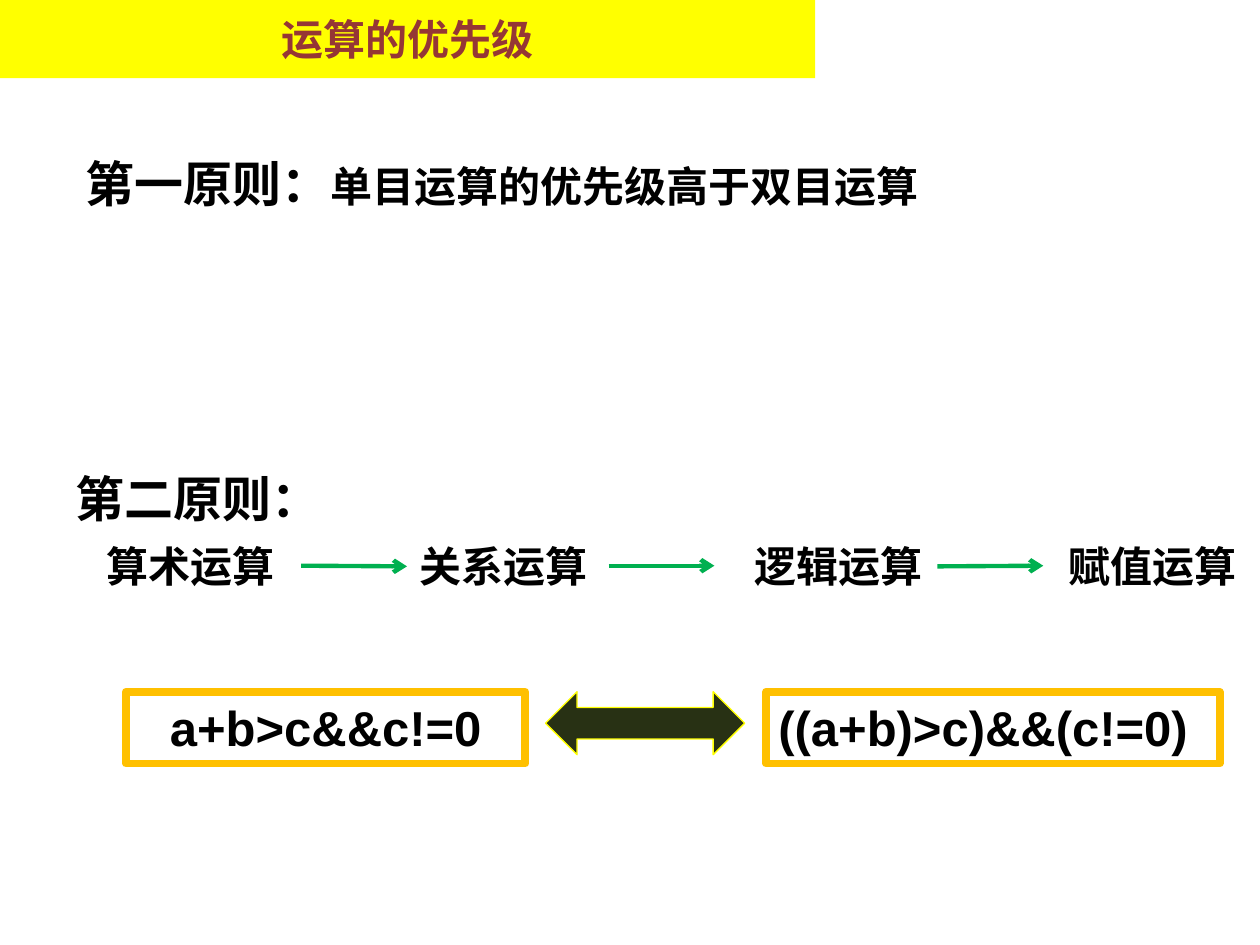
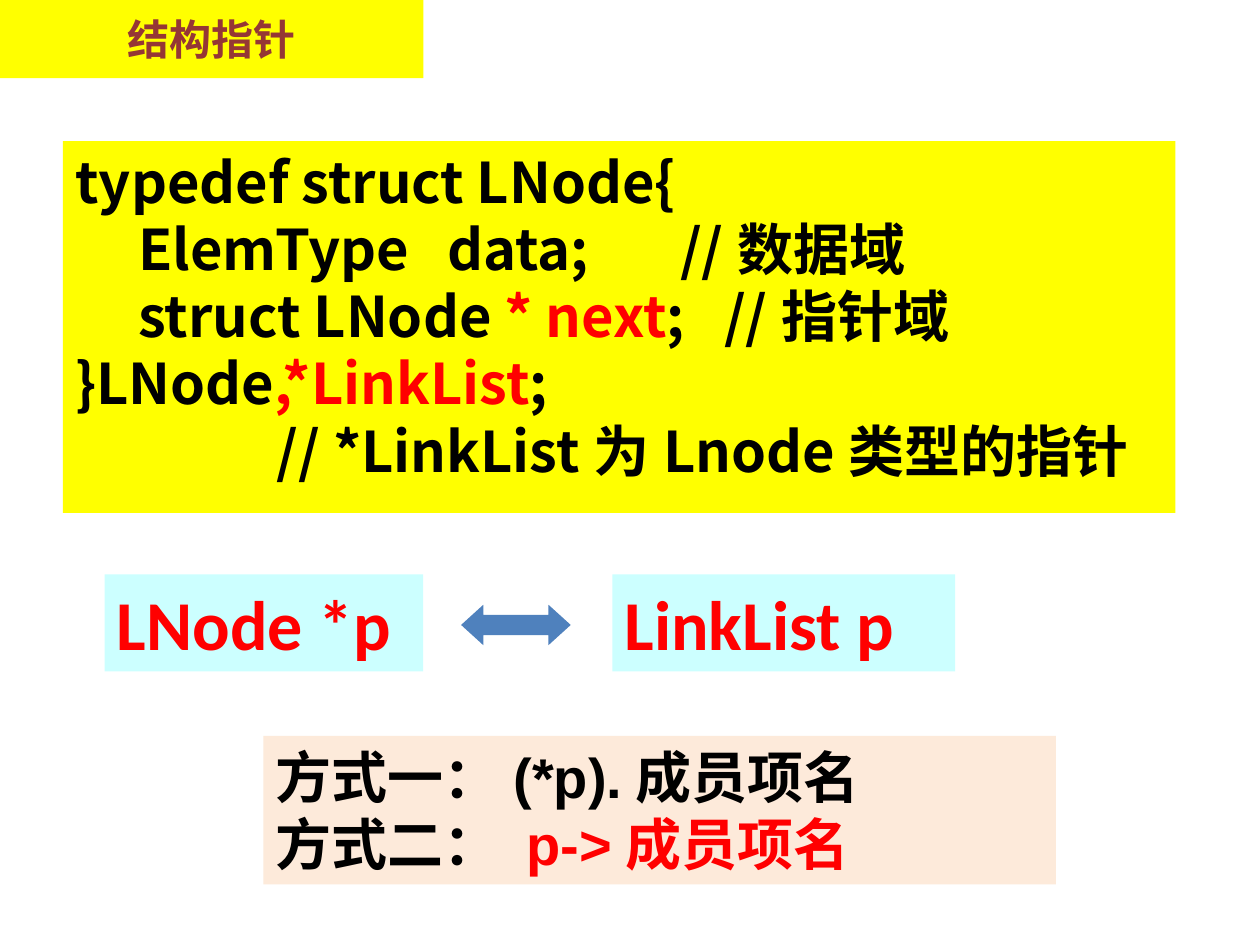
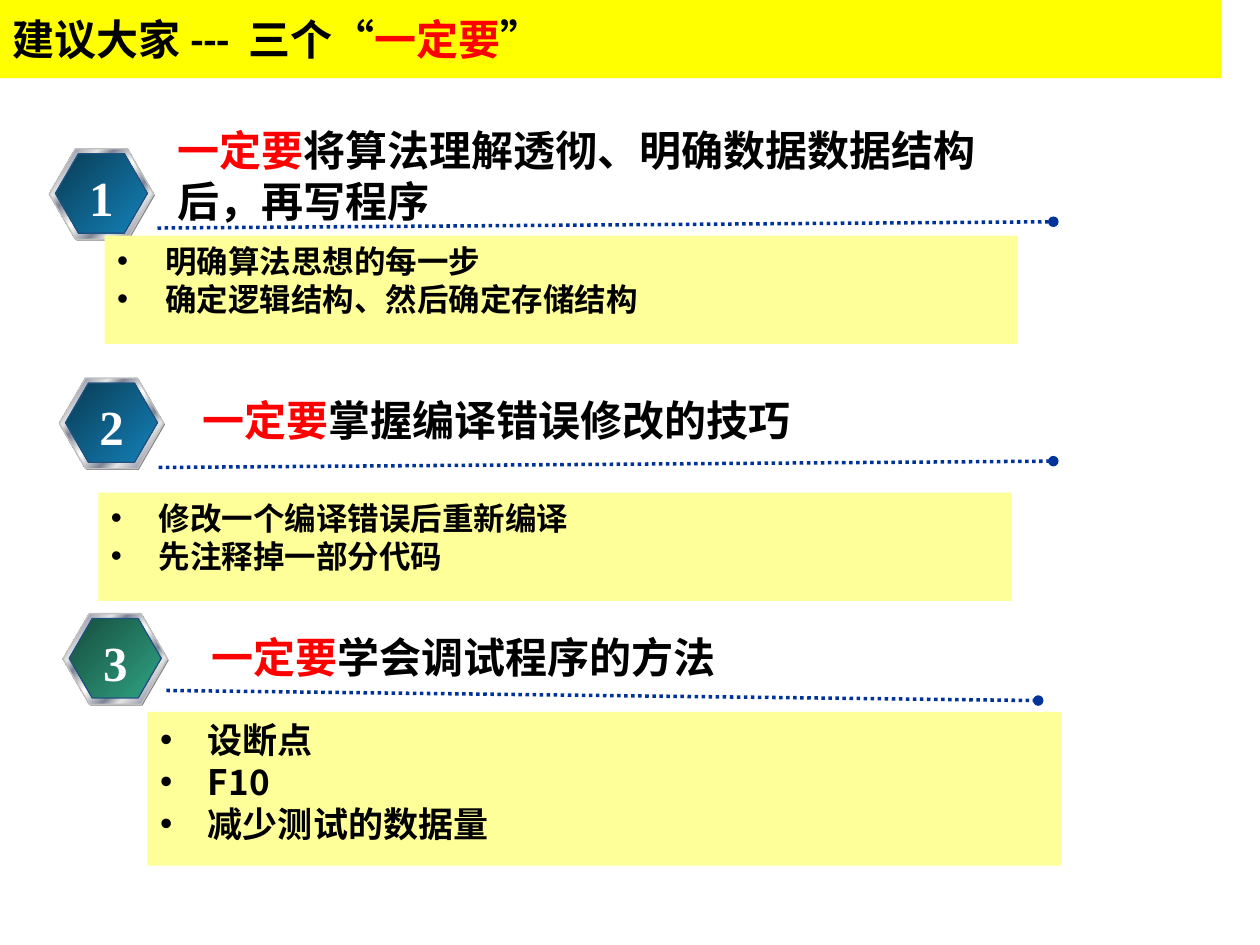
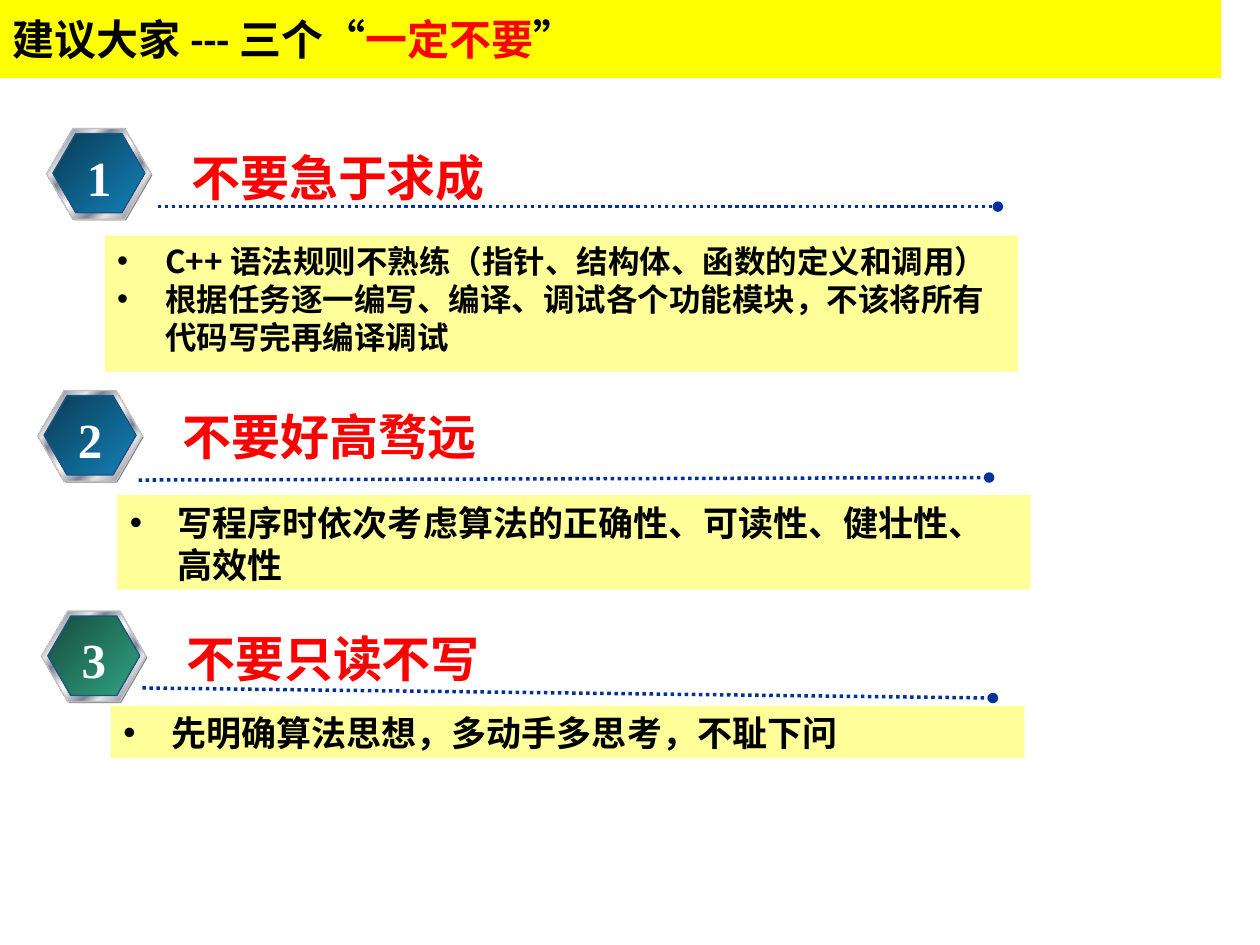
from dataclasses import dataclass

from lxml import etree
from pptx import Presentation
from pptx.dml.color import RGBColor
from pptx.enum.dml import MSO_LINE
from pptx.enum.shapes import MSO_CONNECTOR, MSO_SHAPE
from pptx.enum.text import MSO_ANCHOR, MSO_AUTO_SIZE, PP_ALIGN
from pptx.oxml.ns import qn
from pptx.util import Inches, Pt

RECT, HEXAGON = MSO_SHAPE.RECTANGLE, MSO_SHAPE.HEXAGON
DOUBLE_ARROW = MSO_SHAPE.LEFT_RIGHT_ARROW
LEFT, CENTER, JUSTIFY = PP_ALIGN.LEFT, PP_ALIGN.CENTER, PP_ALIGN.JUSTIFY
TOP, MIDDLE = MSO_ANCHOR.TOP, MSO_ANCHOR.MIDDLE
SIDE_LEFT, SIDE_RIGHT = 1, 3


@dataclass(frozen=True)
class Theme:
    black: str = "000000"
    white: str = "FFFFFF"
    red: str = "FF0000"
    brown: str = "953735"
    yellow: str = "FFFF00"
    pale_yellow: str = "FFFF99"
    orange: str = "FFC000"
    green: str = "00B050"
    navy: str = "003399"
    olive: str = "283114"
    blue: str = "4F81BD"
    cyan: str = "CCFFFF"
    peach: str = "FDEADA"
    gray: str = "808080"
    silver: str = "C0C0C0"
    badge_edge: str = "1F5281"
    small: int = 18
    list: int = 20
    body: int = 24
    head: int = 28
    code: int = 32
    big: int = 40
    serif: str = "Times New Roman"
    sans: str = "Arial"
    title: str = "Calibri"
    cjk: str = "Noto Sans CJK SC"


T = Theme()
BLUE_GRAD = [(0, "093C55"), (100, "1481B8")]
GREEN_GRAD = [(0, "164C3D"), (100, "30A483")]
METAL_GRAD = [(0, "E6E6E6"), (8, "7D8496"), (26, "E6E6E6"), (34, "7D8496"),
              (46, "E6E6E6"), (50, "FFFFFF"), (54, "E6E6E6"), (66, "7D8496"),
              (74, "E6E6E6"), (92, "7D8496"), (100, "E6E6E6")]

# ---- Content: a paragraph is a string or a list of runs;
# a run is a string or (text, colour) or (text, colour, size)
PRIORITY = {
    "title": "运算的优先级",
    "rules": [(0.58, 1.17, 6.91,
               ["第一原则：", ("单目运算的优先级高于双目运算", T.black, T.body)]),
              (0.5, 3.67, 2.17, ["第二原则："])],
    "steps": [(0.75, "算术运算"), (3.23, "关系运算"),
              (5.89, "逻辑运算"), (8.38, "赋值运算")],
    # start, end, joined step at the start, joined step at the end
    "arrows": [(2.39, 3.23, None, 1), (4.83, 5.67, None, None),
               (7.44, 8.28, 2, None)],
    "formulas": [(1, 3.17, "a+b>c&&c!=0", CENTER),
                 (6.08, 3.6, "((a+b)>c)&&(c!=0)", LEFT)],
}
POINTER = {
    "title": "结构指针",
    # tab stops and runs of each line
    "code": [((), ["typedef struct LNode{"]),
             ((0.5, 2.95, 4.8), ["\tElemType\tdata;\t//数据域"]),
             ((0.5, 5.15), ["\tstruct LNode ", ("* next", T.red), ";\t//指针域"]),
             ((), ["}LNode", (",*LinkList", T.red), ";"]),
             ((1.6,), ["\t// *LinkList为Lnode类型的指针"])],
    "declarations": [(0.83, 2.53, "LNode *p"), (4.86, 2.72, "LinkList p")],
    "access": ["方式一：(*p).成员项名", ["方式二： ", ("p->成员项名", T.red)]],
}
MUST = ("一定要", T.red)
# badge corner, heading box, rule ends, list box, list format
DO = {
    "title": [["建议大家--- 三个“", MUST, "”"]],
    "heading_size": T.body,
    "items": [
        dict(badge=(0.39, 1.18), head=(1.31, 0.94, 6.76, 0.91),
             rule=(1.25, 1.81, 8.36, 1.76), box=(0.83, 1.87, 7.25, 0.86),
             heading=[MUST, "将算法理解透彻、明确数据数据结构后，再写程序"],
             points=["明确算法思想的每一步", "确定逻辑结构、然后确定存储结构"],
             size=T.small, font=T.title),
        dict(badge=(0.47, 3), head=(1.51, 3.08, 7.08, 0.5),
             rule=(1.26, 3.71, 8.36, 3.66), box=(0.78, 3.91, 7.25, 0.86),
             heading=[MUST, "掌握编译错误修改的技巧"],
             points=["修改一个编译错误后重新编译", "先注释掉一部分代码"],
             size=T.small, font=T.title),
        dict(badge=(0.5, 4.87), head=(1.58, 4.96, 6.55, 0.5),
             rule=(1.32, 5.48, 8.24, 5.56), box=(1.17, 5.65, 7.25, 1.22),
             heading=[MUST, "学会调试程序的方法"],
             points=["设断点", "F10", "减少测试的数据量"],
             size=T.list, font=T.cjk),
    ],
}
DONT = {
    "title": [["建议大家---三个“", ("一定不要", T.red), "”"]],
    "heading_size": T.head,
    "items": [
        dict(badge=(0.37, 1.02), head=(1.42, 1.12, 4.33, 0.5),
             rule=(1.25, 1.64, 7.92, 1.64), box=(0.83, 1.87, 7.25, 1.08),
             heading=[("不要急于求成", T.red)],
             points=["C++语法规则不熟练（指针、结构体、函数的定义和调用）",
                     "根据任务逐一编写、编译、调试各个功能模块，不该将所有代码写完再编译调试"],
             size=T.small, font=T.cjk),
        dict(badge=(0.3, 3.1), head=(1.35, 3.18, 6.39, 0.5),
             rule=(1.1, 3.81, 7.85, 3.79), box=(0.93, 3.93, 7.25, 0.75),
             heading=[("不要好高骛远", T.red)],
             points=["写程序时依次考虑算法的正确性、可读性、健壮性、高效性"],
             size=T.list, font=T.cjk),
        dict(badge=(0.33, 4.85), head=(1.38, 4.94, 6.39, 0.5),
             rule=(1.13, 5.46, 7.88, 5.54), box=(0.88, 5.6, 7.25, 0.42),
             heading=[("不要只读不写", T.red)],
             points=["先明确算法思想，多动手多思考，不耻下问"],
             size=T.list, font=T.cjk),
    ],
}


# ---- Helpers
def rgb(color):
    return RGBColor.from_string(color)


def add_bullet(p):
    pPr = p._p.get_or_add_pPr()
    pPr.set("marL", str(Inches(0.38)))
    pPr.set("indent", str(-Inches(0.38)))
    etree.SubElement(pPr, qn("a:buFont"), typeface=T.sans)
    etree.SubElement(pPr, qn("a:buChar"), char="•")


def add_tabs(p, stops):
    tabs = etree.SubElement(p._p.get_or_add_pPr(), qn("a:tabLst"))
    for stop in stops:
        etree.SubElement(tabs, qn("a:tab"), pos=str(Inches(stop)), algn="l")


def write(sp, paras, size=T.body, font=T.serif, color=T.black, align=LEFT,
          anchor=TOP, wrap=True, bullet=False):
    """Fill a shape with bold text; returns its paragraphs."""
    tf = sp.text_frame
    tf.word_wrap = wrap
    tf.auto_size = MSO_AUTO_SIZE.NONE if wrap else MSO_AUTO_SIZE.SHAPE_TO_FIT_TEXT
    tf.vertical_anchor = anchor
    for i, para in enumerate([paras] if isinstance(paras, str) else paras):
        p = tf.paragraphs[0] if i == 0 else tf.add_paragraph()
        p.alignment = align
        p.space_before = Pt(0)
        if bullet:
            add_bullet(p)
        for run in [para] if isinstance(para, str) else para:
            text, *own = (run,) if isinstance(run, str) else run
            run_color, run_size = (own + [color, size][len(own):])
            r = p.add_run()
            r.text = text
            r.font.size, r.font.name, r.font.bold = Pt(run_size), font, True
            r.font.color.rgb = rgb(run_color)
            etree.SubElement(r._r.get_or_add_rPr(), qn("a:ea"), typeface=T.cjk)
    return tf.paragraphs


def add_text(slide, box, paras, **fmt):
    sp = slide.shapes.add_textbox(*map(Inches, box))
    write(sp, paras, **fmt)
    return sp


def set_gradient(sp, stops):
    sp.fill.gradient()
    sp.fill.gradient_angle = 315
    gs_list = sp._element.spPr.find(qn("a:gradFill")).find(qn("a:gsLst"))
    for gs in list(gs_list):
        gs_list.remove(gs)
    for pos, color in stops:
        gs = etree.SubElement(gs_list, qn("a:gs"), pos=str(pos * 1000))
        etree.SubElement(gs, qn("a:srgbClr"), val=color)


def add_shape(slide, kind, box, fill=None, line=None, width=0.75):
    sp = slide.shapes.add_shape(kind, *map(Inches, box))
    sp.shadow.inherit = False
    if fill is None:
        sp.fill.background()
    elif isinstance(fill, list):
        set_gradient(sp, fill)
    else:
        sp.fill.solid()
        sp.fill.fore_color.rgb = rgb(fill)
    if line:
        sp.line.color.rgb = rgb(line)
        sp.line.width = Pt(width)
    else:
        sp.line.fill.background()
    return sp


def add_line(slide, ends, color, width, tail, dash=None):
    cn = slide.shapes.add_connector(MSO_CONNECTOR.STRAIGHT, *map(Inches, ends))
    cn.line.color.rgb = rgb(color)
    cn.line.width = Pt(width)
    if dash:
        cn.line.dash_style = dash
    etree.SubElement(cn.line._get_or_add_ln(), qn("a:tailEnd"), type=tail)
    etree.SubElement(cn._element.spPr, qn("a:effectLst"))
    return cn


def fill_placeholder(sp, box, fill, paras, **fmt):
    sp.left, sp.top, sp.width, sp.height = map(Inches, box)
    sp.fill.solid()
    sp.fill.fore_color.rgb = rgb(fill)
    write(sp, paras, **fmt)


def new_slide(prs, layout, title, width, **fmt):
    """Slide with the yellow title band at its top left."""
    slide = prs.slides.add_slide(prs.slide_layouts.get_by_name(layout))
    fill_placeholder(slide.shapes.title, (0, 0, width, 0.62), T.yellow, title,
                     font=T.title, anchor=MIDDLE, **fmt)
    return slide


def add_badge(slide, x, y, number, grad):
    """Numbered metal hexagon with a gray rim behind it."""
    layers = [(0.01, 0.01, 0.83, 0.72, T.gray, None),
              (0, 0, 0.83, 0.72, METAL_GRAD, T.silver),
              (0.05, 0.04, 0.73, 0.63, grad, T.badge_edge)]
    for dx, dy, w, h, fill, line in layers:
        sp = add_shape(slide, HEXAGON, (x + dx, y + dy, w, h), fill, line)
        sp.adjustments[0] = 0.29
    add_text(slide, (x + 0.22, y + 0.1, 0.39, 0.5), str(number), size=T.head,
             color=T.white, align=CENTER, wrap=False)


# ---- Slides
def priority_slide(prs, data):
    slide = new_slide(prs, "Title Only", data["title"], 6.47,
                      color=T.brown, align=CENTER)
    for x, y, w, runs in data["rules"]:
        add_text(slide, (x, y, w, 0.57), [runs], size=T.head, wrap=False)
    steps = [add_text(slide, (x, 4.24, 1.55, 0.51), text, wrap=False)
             for x, text in data["steps"]]
    for x1, x2, first, last in data["arrows"]:
        cn = add_line(slide, (x1, 4.49, x2, 4.49), T.green, 2.5, "arrow")
        if first is not None:
            cn.begin_connect(steps[first], SIDE_RIGHT)
        if last is not None:
            cn.end_connect(steps[last], SIDE_LEFT)
    for x, w, text, align in data["formulas"]:
        sp = add_shape(slide, RECT, (x, 5.49, w, 0.57), line=T.orange, width=4.5)
        write(sp, text, size=T.head, font=T.sans, align=align)
    add_shape(slide, DOUBLE_ARROW, (4.33, 5.49, 1.58, 0.5), T.olive, T.yellow)


def pointer_slide(prs, data):
    slide = new_slide(prs, "Title Only", data["title"], 3.36,
                      color=T.brown, align=CENTER)
    sp = add_shape(slide, RECT, (0.5, 1.12, 8.83, 2.95), T.yellow)
    lines = write(sp, [runs for _, runs in data["code"]], size=T.code,
                  font=T.cjk, align=JUSTIFY)
    for p, (stops, _) in zip(lines, data["code"]):
        if stops:
            add_tabs(p, stops)
    for x, w, text in data["declarations"]:
        sp = add_shape(slide, RECT, (x, 4.56, w, 0.77), T.cyan)
        write(sp, text, size=T.big, font=T.title, color=T.red)
    sp = add_shape(slide, DOUBLE_ARROW, (3.66, 4.8, 0.87, 0.32), T.blue)
    sp.adjustments[1] = 0.55
    sp = add_shape(slide, RECT, (2.09, 5.84, 6.29, 1.18), T.peach)
    write(sp, data["access"], size=T.code, font=T.sans)


def advice_slide(prs, data):
    slide = new_slide(prs, "Comparison", data["title"], 9.69)
    bodies = [ph for ph in slide.placeholders if ph.placeholder_format.idx > 0]
    grads = [BLUE_GRAD, BLUE_GRAD, GREEN_GRAD]
    for n, (item, body, grad) in enumerate(zip(data["items"], bodies, grads), 1):
        add_badge(slide, *item["badge"], n, grad)
        add_line(slide, item["rule"], T.navy, 2, "oval", MSO_LINE.ROUND_DOT)
        add_text(slide, item["head"], [item["heading"]], size=data["heading_size"])
        fill_placeholder(body, item["box"], T.pale_yellow, item["points"],
                         size=item["size"], font=item["font"], bullet=True)
        slide.shapes._spTree.append(body._element)  # list in front of its badge
    for spare in bodies[len(data["items"]):]:
        slide.shapes._spTree.remove(spare._element)


def main():
    prs = Presentation()
    prs.slide_width, prs.slide_height = Inches(10), Inches(7.5)
    priority_slide(prs, PRIORITY)
    pointer_slide(prs, POINTER)
    advice_slide(prs, DO)
    advice_slide(prs, DONT)
    prs.save("out.pptx")


if __name__ == "__main__":
    main()
